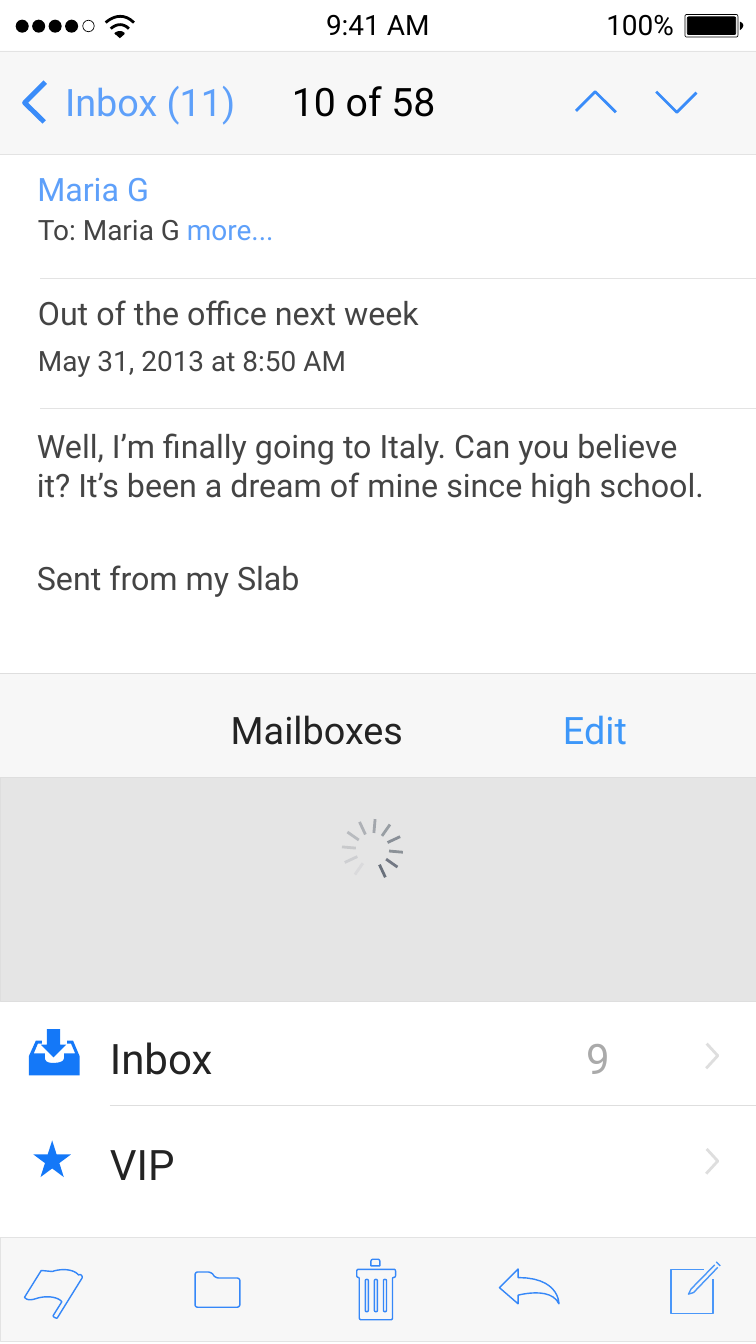
from math import cos, radians, sin

from lxml.etree import SubElement
from pptx import Presentation
from pptx.dml.color import RGBColor
from pptx.enum.shapes import MSO_CONNECTOR, MSO_SHAPE
from pptx.enum.text import MSO_ANCHOR, PP_ALIGN
from pptx.oxml.ns import qn
from pptx.util import Cm, Pt

HEX = {
    "black": "000000", "bar": "F7F7F7", "edge": "E3E3E3", "rule": "DEDEDE",
    "panel": "E5E5E5", "link": "5EA0FA", "arrow": "3A8CF9", "tool": "3587F8",
    "pen": "4A97F9", "edit": "3D97F9", "icon": "1478F8", "text": "444444",
    "head": "232323", "count": "AAAAAA",
}
SPOKES = ["DADADC", "CECFD2", "C8C9CB", "B8BBBF", "AEB1B6", "A2A6AC",
          "989EA3", "898F97", "8C9298", "737884", "69707B"]
GRID = 2.54 / 100  # icon grid step in cm


def rgb(name):
    return RGBColor.from_string(HEX.get(name, name))


def paint(shape, fill=None, line=None, width=1):
    shape.shadow.inherit = False
    if fill:
        shape.fill.solid()
        shape.fill.fore_color.rgb = rgb(fill)
    else:
        shape.fill.background()
    if line:
        shape.line.color.rgb = rgb(line)
        shape.line.width = Pt(width)
    else:
        shape.line.fill.background()
    return shape


def block(slide, kind, x, y, w, h, **look):
    shape = slide.shapes.add_shape(kind, Cm(x), Cm(y), Cm(w), Cm(h))
    return paint(shape, **look)


def rule(slide, x1, y1, x2, y2, color, width=1):
    line = slide.shapes.add_connector(
        MSO_CONNECTOR.STRAIGHT, Cm(x1), Cm(y1), Cm(x2), Cm(y2))
    line.line.color.rgb = rgb(color)
    line.line.width = Pt(width)
    SubElement(line._element.spPr, qn("a:effectLst"))


def trace(steps):
    """Turn points and cubic curves (six numbers) into plain points."""
    points = [steps[0]]
    for step in steps[1:]:
        if len(step) == 2:
            points.append(step)
            continue
        (ax, ay), (bx, by, cx, cy, dx, dy) = points[-1], step
        for i in range(1, 13):
            t = i / 12
            k = (1 - t) ** 3, 3 * t * (1 - t) ** 2, 3 * t * t * (1 - t), t ** 3
            points.append((k[0] * ax + k[1] * bx + k[2] * cx + k[3] * dx,
                           k[0] * ay + k[1] * by + k[2] * cy + k[3] * dy))
    return points


def draw(slide, x, y, *paths, close=True, **look):
    """Draw outlines given in grid steps from the point x, y."""
    pen = None
    for path in paths:
        first, *rest = [(Cm(x + px * GRID), Cm(y + py * GRID))
                        for px, py in trace(path)]
        if pen is None:
            pen = slide.shapes.build_freeform(*first, scale=1.0)
        else:
            pen.move_to(*first)
        pen.add_line_segments(rest, close=close)
    return paint(pen.convert_to_shape(), **look)


def write(frame, *lines, size=46, align=PP_ALIGN.LEFT, gap=None, tab=None,
          left=0.18):
    """Fill a frame; each line is a list of (text, colour) runs."""
    frame.word_wrap = True
    frame.vertical_anchor = MSO_ANCHOR.MIDDLE
    frame.margin_left = Cm(left)
    frame.margin_right = frame.margin_top = frame.margin_bottom = Cm(0.18)
    for i, line in enumerate(lines):
        para = frame.add_paragraph() if i else frame.paragraphs[0]
        para.alignment = align
        if gap:
            para.line_spacing = gap
        if tab:
            stops = SubElement(para._p.get_or_add_pPr(), qn("a:tabLst"))
            SubElement(stops, qn("a:tab"), pos=str(Cm(tab)), algn="l")
        for words, color in line:
            run = para.add_run()
            run.text = words
            run.font.name = "Roboto"
            run.font.size = Pt(size)
            run.font.color.rgb = rgb(color)


def label(slide, x, y, w, h, *lines, **form):
    box = slide.shapes.add_textbox(Cm(x), Cm(y), Cm(w), Cm(h))
    write(box.text_frame, *lines, **form)


def status(slide, x, y, w, h):
    # Signal dots
    for i in range(4):
        block(slide, MSO_SHAPE.OVAL, x + 0.79 + 0.83 * i, y + 0.99, 0.66, 0.66,
              fill="black")
    block(slide, MSO_SHAPE.OVAL, x + 4.17, y + 1.02, 0.58, 0.58, line="black")
    # Wireless fan
    for a, b, end, lift in [(0, 13, 56, 28), (10, 25, 46, 18), (19, 36, 36, 8)]:
        draw(slide, x + 5.33, y + 0.81,
             [(a, b), (a, b, 28, b - lift, end, b)],
             close=False, line="black", width=4)
    draw(slide, x + 5.33, y + 0.81, [(37, 36), (28, 44), (18, 35)], fill="black")
    # Time and charge
    for mid, words in [(19.04, "9:41 AM"), (32.26, "100%")]:
        label(slide, x + mid - 3, y + 0.25, 6, 2, [(words, "black")],
              size=40, align=PP_ALIGN.CENTER)
    # Battery
    for inset, size, fill in [(0, (2.67, 1.14), None),
                              (0.12, (2.44, 0.89), "black")]:
        cell = block(slide, MSO_SHAPE.ROUNDED_RECTANGLE, x + 34.52 + inset,
                     y + 0.73 + inset, *size, fill=fill, line="black")
        cell.adjustments[0] = 0.08
    draw(slide, x + 37.29, y + 1.09, [(0, 0), (0, 17), (0, 17, 15, 7, 0, 0)],
         fill="black")


def header(slide, x, y, w, h):
    block(slide, MSO_SHAPE.RECTANGLE, x, y, w, h, fill="bar", line="edge")
    label(slide, x + 3.15, y + 1.24, 10.5, 2.62, [("Inbox (11)", "link")], size=54)
    label(slide, x + 13.38, y + 1.06, 10, 2.87, [("10 of 58", "black")],
          size=56, align=PP_ALIGN.CENTER)
    # Back, previous and next
    for dx, dy, width, path in [
            (1.29, 1.57, 7, [(41, 0), (0, 41), (39, 79)]),
            (29.08, 2.05, 4, [(79, 41), (38, 0), (0, 38)]),
            (33.12, 2.05, 4, [(0, 0), (41, 41), (80, 2)])]:
        draw(slide, x + dx, y + dy, path, close=False, line="arrow", width=width)


def message(slide, x, y, w, h):
    for dy in (6.25, 12.8):
        rule(slide, x + 2.03, y + dy, x + w, y + dy, "edge")
    for dx, dy, high, size, lines in [
            (1.7, 0.56, 2.34, 46, [[("Maria G", "link")]]),
            (1.73, 2.72, 2.08, 40, [[("To: Maria G ", "text"), ("more...", "link")]]),
            (1.73, 6.8, 2.34, 46, [[("Out of the office next week", "text")]]),
            (1.73, 9.35, 2.03, 40, [[("May 31, 2013 at 8:50 AM", "text")]]),
            (1.68, 13.49, 4.34, 46, [
                [("Well, I’m finally going to Italy. Can you believe", "text")],
                [("it? It’s been a dream of mine since high school.", "text")]]),
            (1.68, 20.14, 2.34, 46, [[("Sent from my Slab", "text")]])]:
        label(slide, x + dx, y + dy, w - dx, high, *lines, size=size)


def boxes(slide, x, y, w, h):
    # Loading panel below the title bar
    block(slide, MSO_SHAPE.RECTANGLE, x, y + 5.06, w, h - 5.06,
          fill="panel", line="rule")
    bar = block(slide, MSO_SHAPE.RECTANGLE, x - 0.05, y, w, 5.23,
                fill="bar", line="rule")
    write(bar.text_frame, [("Mailboxes\t", "head"), ("Edit", "edit")],
          size=54, gap=1.2, left=11.68, tab=16.74)
    # Spinner
    for i, color in enumerate(SPOKES):
        turn = radians(125 + 30 * i)
        ends = [v for r in (0.84, 1.54)
                for v in (x + 18.77 + r * cos(turn), y + 8.89 + r * sin(turn))]
        rule(slide, *ends, color, width=4)


def row(slide, x, y, w, h, *runs):
    label(slide, x + 5.36, y + 1.12, 29, 2.97, list(runs), size=60, gap=1.2, tab=24)
    draw(slide, x + 35.59, y + 2.13, [(0, 49), (23, 24), (1, 0)],
         close=False, line="rule", width=4)


def folders(slide, x, y, w, h):
    step = h / 2
    row(slide, x, y, w, step, ("Inbox\t", "head"), ("9", "count"))
    row(slide, x, y + step, w, step, ("VIP", "head"))
    rule(slide, x + 5.54, y + 5.23, x + w, y + 5.23, "rule")
    # Tray and star
    arrow = [(62, 0), (36, 0), (36, 31), (24, 31), (49, 56), (74, 31), (62, 31)]
    tray = [(88, 23), (76, 23), (76, 29), (84, 29), (92, 48), (70, 48),
            (70, 58, 73, 66, 51, 67), (29, 68, 32, 58, 32, 48), (10, 48),
            (18, 29), (26, 29), (26, 23), (14, 23), (0, 54), (0, 92),
            (101, 92), (101, 54)]
    for path in (arrow, tray):
        draw(slide, x + 1.45, y + 1.4, path, fill="icon")
    block(slide, MSO_SHAPE.STAR_5_POINT, x + 1.68, y + step + 1.7, 1.9, 1.85,
          fill="icon")


def tools(slide, x, y, w, h):
    block(slide, MSO_SHAPE.RECTANGLE, x, y, w, h, fill="bar", line="edge")
    flag = [(33, 1), (55, 3), (75, -4, 99, -1, 107, 10), (109, 9, 111, 9, 112, 10),
            (114, 11, 115, 14, 114, 16), (65, 95), (64, 97, 55, 93, 57, 90),
            (74, 63), (66, 53, 42, 50, 22, 57), (4, 63, 0, 54, 0, 54)]
    folder = [(0, 64), (0, 68, 2, 70, 6, 70), (83, 70), (86, 70, 89, 68, 89, 64),
              (89, 18), (89, 14, 86, 12, 83, 12), (47, 12), (44, 12, 39, 10, 37, 7),
              (35, 4), (33, 2, 28, 0, 25, 0), (6, 0), (2, 0, 0, 3, 0, 6)]
    lid = [(28, 13), (28, 7), (28, 4, 28, 0, 33, 0), (41, 0),
           (43, 0, 46, 0, 46, 6), (46, 13)]
    can = [(77, 24), (77, 22, 76, 20, 74, 20), (3, 20), (1, 20, 0, 22, 0, 24),
           (0, 32), (0, 34, 1, 36, 3, 36), (4, 36, 5, 37, 5, 39), (5, 116),
           (5, 118, 7, 120, 8, 120), (68, 120), (70, 120, 71, 118, 71, 116),
           (71, 39), (71, 37, 72, 36, 74, 36), (76, 36, 77, 34, 77, 32)]
    slots = [[(a, 43), (a, 41, a + 1, 40, a + 3, 40), (a + 5, 40, a + 6, 41, a + 6, 43),
              (a + 6, 101), (a + 6, 103, a + 5, 104, a + 3, 104),
              (a + 1, 104, a, 103, a, 101)] for a in (17, 35, 53)]
    reply = [(0, 37), (37, 0), (37, 17), (112, 17, 118, 60, 118, 69),
             (102, 34, 37, 52, 37, 52), (37, 69)]
    for dx, dy, paths in [(1.24, 1.65, [flag]), (9.83, 1.75, [folder]),
                          (17.98, 1.11, [lid]), (17.98, 1.11, [can, *slots]),
                          (25.17, 1.6, [reply])]:
        draw(slide, x + dx, y + dy, *paths, line="tool", width=2)
    # Compose: pad and pencil
    pad = [(65, 15), (0, 15), (0, 103), (84, 103), (84, 34)]
    pencil = [(87, 6), (40, 54), (35, 64), (45, 61), (93, 11)]
    for path in (pad, pencil):
        draw(slide, x + 33.81, y + 1.24, path, close=False, line="pen", width=2)
    rule(slide, x + 36.1, y + 1.24, x + 36.3, y + 1.44, "pen", width=2)


def main():
    deck = Presentation()
    deck.slide_width, deck.slide_height = Cm(38.1), Cm(67.74)
    slide = deck.slides.add_slide(deck.slide_layouts[6])
    status(slide, 0, 0, 38.1, 2.56)
    header(slide, -0.05, 2.57, 38.15, 5.23)
    message(slide, 0, 7.8, 38.1, 26.13)
    boxes(slide, 0, 33.93, 38.15, 16.54)
    folders(slide, 0, 50.47, 38.1, 10.62)
    tools(slide, 0, 62.36, 38.15, 5.23)
    deck.save("out.pptx")


if __name__ == "__main__":
    main()
